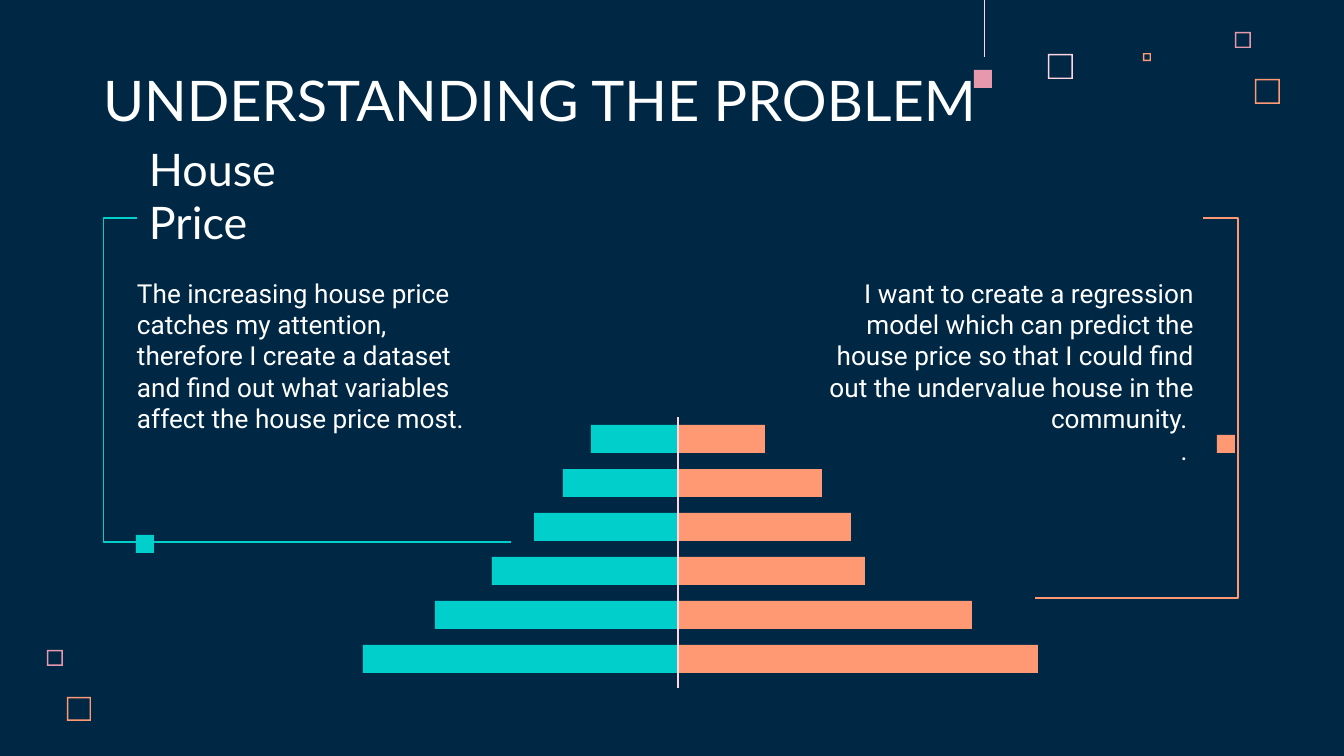
from dataclasses import dataclass

from lxml import etree
from pptx import Presentation
from pptx.dml.color import RGBColor
from pptx.enum.shapes import MSO_CONNECTOR, MSO_SHAPE
from pptx.enum.text import MSO_ANCHOR, MSO_AUTO_SIZE, PP_ALIGN
from pptx.oxml.ns import qn
from pptx.util import Emu, Pt

EMU_PER_PX = 914400 / 134.4
SLIDE_WIDTH, SLIDE_HEIGHT = 1344, 756
TITLE_ONLY = 5

NAVY = RGBColor(0x00, 0x28, 0x45)
WHITE = RGBColor(0xFF, 0xFF, 0xFF)
TEAL = RGBColor(0x00, 0xCF, 0xCC)
ORANGE = RGBColor(0xFF, 0x99, 0x73)
PINK = RGBColor(0xE8, 0x98, 0xAC)
PALE_PINK = RGBColor(0xFF, 0xD6, 0xE1)

RECTANGLE, FRAME = MSO_SHAPE.RECTANGLE, MSO_SHAPE.FRAME
STRAIGHT, ELBOW = MSO_CONNECTOR.STRAIGHT, MSO_CONNECTOR.ELBOW
LEFT, RIGHT = PP_ALIGN.LEFT, PP_ALIGN.RIGHT
TOP, BOTTOM = MSO_ANCHOR.TOP, MSO_ANCHOR.BOTTOM

INSET = 12
FRAME_THICKNESS = 1.4
MARKER_SIZE = 18
AXIS_X, FIRST_BAR_TOP, BAR_PITCH, BAR_HEIGHT = 678, 425, 44, 28


@dataclass(frozen=True)
class Square:
    left: int
    top: int
    size: int
    color: RGBColor


@dataclass(frozen=True)
class Line:
    start: tuple[int, int]
    end: tuple[int, int]
    color: RGBColor
    width: float = 0.75
    bend: float | None = None  # middle segment, as a share of the line's width


@dataclass(frozen=True)
class TextBlock:
    box: tuple[int, int, int, int]
    paragraphs: tuple[str, ...]
    font: str
    size: int
    align: PP_ALIGN = LEFT
    anchor: MSO_ANCHOR = TOP


FRAMES = (
    Square(1048, 54, 25, PALE_PINK),
    Square(1235, 32, 16, PINK),
    Square(1143, 53, 8, ORANGE),
    Square(1255, 79, 25, ORANGE),
    Square(47, 650, 16, PINK),
    Square(67, 697, 24, ORANGE),
)
MARKERS = (
    Square(974, 70, MARKER_SIZE, PINK),
    Square(136, 535, MARKER_SIZE, TEAL),
    Square(1217, 435, MARKER_SIZE, ORANGE),
)
BAR_LENGTHS = ((87, 87), (115, 144), (144, 173), (186, 187), (243, 294), (315, 360))
LINES = (
    Line((984, 0), (984, 57), PALE_PINK, 0.5),
    Line((AXIS_X, 417), (AXIS_X, 688), PALE_PINK),
    Line((137, 218), (511, 542), TEAL, bend=-0.09),
    Line((1203, 218), (1035, 598), ORANGE, bend=-0.21),
)
TITLE = TextBlock((91, 60, 904, 85), ("UNDERSTANDING THE PROBLEM",), "Lato", 30, anchor=BOTTOM)
TEXT_BLOCKS = (
    TextBlock((137, 176, 251, 85), ("House Price",), "Lato", 24, anchor=BOTTOM),
    TextBlock(
        (125, 265, 386, 164),
        ("The increasing house price catches my attention, therefore I create a dataset "
         "and find out what variables affect the house price most.",),
        "Roboto", 14,
    ),
    TextBlock(
        (804, 265, 402, 164),
        ("I want to create a regression model which can predict the house price so that "
         "I could find out the undervalue house in the community. ", ". "),
        "Roboto", 14, RIGHT,
    ),
)


def px(value: float) -> Emu:
    return Emu(round(value * EMU_PER_PX))


def add_filled_shape(slide, kind, box: tuple[int, int, int, int], color: RGBColor):
    shape = slide.shapes.add_shape(kind, *map(px, box))
    shape.shadow.inherit = False
    shape.fill.solid()
    shape.fill.fore_color.rgb = color
    shape.line.fill.background()
    return shape


def add_square(slide, square: Square, kind=RECTANGLE):
    box = (square.left, square.top, square.size, square.size)
    return add_filled_shape(slide, kind, box, square.color)


def add_frame(slide, square: Square) -> None:
    shape = add_square(slide, square, FRAME)
    shape.adjustments[0] = FRAME_THICKNESS / square.size


def add_line(slide, line: Line) -> None:
    kind = STRAIGHT if line.bend is None else ELBOW
    connector = slide.shapes.add_connector(kind, *map(px, line.start + line.end))
    connector.line.color.rgb = line.color
    connector.line.width = Pt(line.width)
    properties = connector._element.spPr
    etree.SubElement(properties, qn("a:effectLst"))
    if line.bend is not None:
        guides = properties.find(qn("a:prstGeom")).get_or_add_avLst()
        formula = f"val {round(line.bend * 100000)}"
        etree.SubElement(guides, qn("a:gd"), name="adj1", fmla=formula)


def write_text(shape, block: TextBlock) -> None:
    """Place a text box or placeholder and fill it with the block's paragraphs."""
    for name, value in zip(("left", "top", "width", "height"), block.box):
        setattr(shape, name, px(value))
    frame = shape.text_frame
    frame_format = {
        "word_wrap": True,
        "auto_size": MSO_AUTO_SIZE.NONE,
        "vertical_anchor": block.anchor,
        **{f"margin_{side}": px(INSET) for side in ("left", "top", "right", "bottom")},
    }
    for name, value in frame_format.items():
        setattr(frame, name, value)
    frame.text = "\n".join(block.paragraphs)
    for paragraph in frame.paragraphs:
        paragraph.alignment = block.align
        font = paragraph.runs[0].font
        for name, value in {"name": block.font, "size": Pt(block.size)}.items():
            setattr(font, name, value)
        font.color.rgb = WHITE


def add_pyramid(slide) -> None:
    """Draw paired bars that grow outwards from the central axis."""
    for row, (left_length, right_length) in enumerate(BAR_LENGTHS):
        top = FIRST_BAR_TOP + row * BAR_PITCH
        left_box = (AXIS_X - left_length, top, left_length, BAR_HEIGHT)
        right_box = (AXIS_X, top, right_length, BAR_HEIGHT)
        add_filled_shape(slide, RECTANGLE, left_box, TEAL)
        add_filled_shape(slide, RECTANGLE, right_box, ORANGE)


def main() -> None:
    presentation = Presentation()
    presentation.slide_width = px(SLIDE_WIDTH)
    presentation.slide_height = px(SLIDE_HEIGHT)
    slide = presentation.slides.add_slide(presentation.slide_layouts[TITLE_ONLY])
    slide.background.fill.solid()
    slide.background.fill.fore_color.rgb = NAVY

    write_text(slide.shapes.title, TITLE)
    for block in TEXT_BLOCKS:
        write_text(slide.shapes.add_textbox(*map(px, block.box)), block)
    for square in FRAMES:
        add_frame(slide, square)
    add_pyramid(slide)
    for line in LINES:
        add_line(slide, line)
    for square in MARKERS:
        add_square(slide, square)
    presentation.save("out.pptx")


if __name__ == "__main__":
    main()
